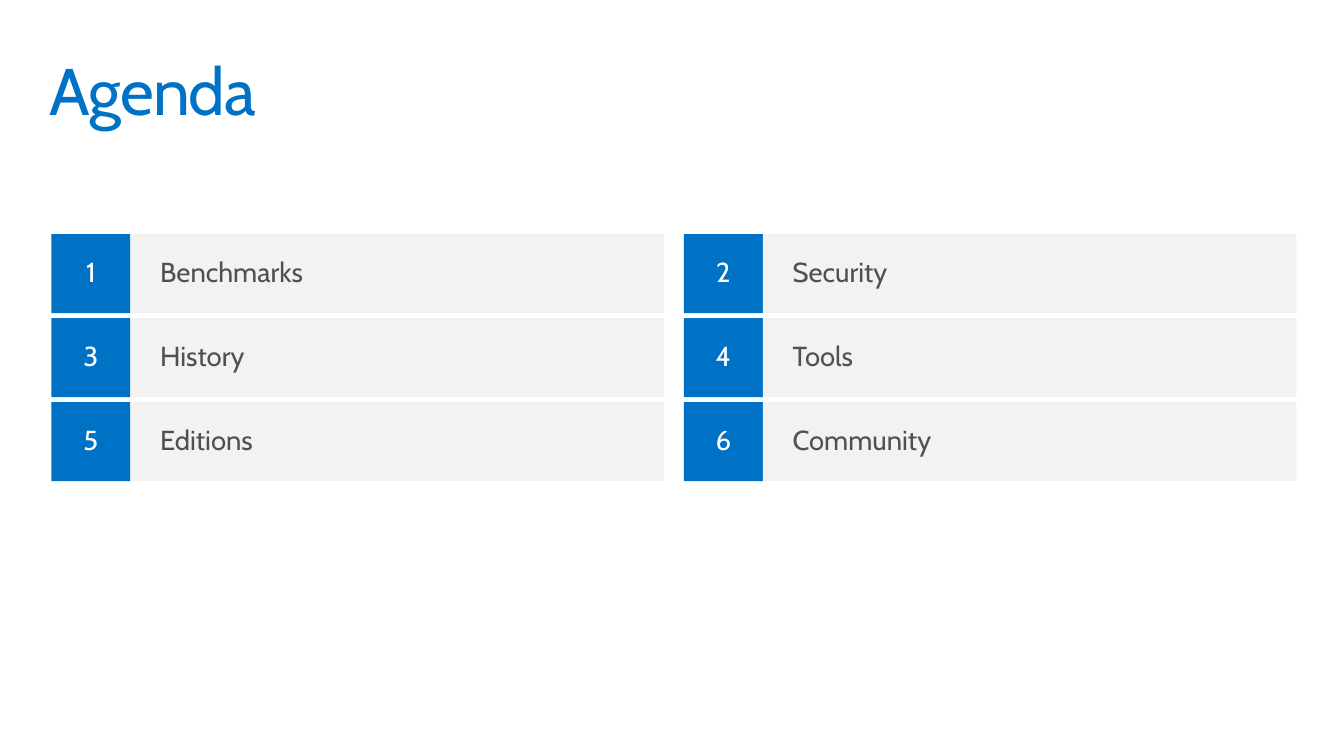
from dataclasses import dataclass

from pptx import Presentation
from pptx import util as u
from pptx.dml.color import RGBColor
from pptx.enum import shapes, text


@dataclass(frozen=True)
class Theme:
    """Colours, font and type sizes of the slide."""
    blue: str = "0072C6"
    pale: str = "F2F2F2"
    grey: str = "505050"
    white: str = "FFFFFF"
    font: str = "Cabin"
    head: int = 48
    item: int = 20


LOOK = Theme()
WIDE, HIGH = 13.6, 7.65
COLS = 2
CELL = 0.8
ROW = 0.85
COL = 6.4
TOPICS = ["Benchmarks", "Security", "History", "Tools", "Editions", "Community"]


def write(shape, words, size, color, align=text.PP_ALIGN.LEFT,
          anchor=text.MSO_ANCHOR.MIDDLE, pad=(0.1, 0.1), lead=None, track=None):
    """Put formatted text into a shape."""
    frame = shape.text_frame
    frame.word_wrap = True
    frame.auto_size = text.MSO_AUTO_SIZE.NONE
    frame.vertical_anchor = anchor
    frame.margin_left = frame.margin_right = u.Inches(pad[0])
    frame.margin_top = frame.margin_bottom = u.Inches(pad[1])
    para = frame.paragraphs[0]
    para.alignment = align
    if lead:
        para.line_spacing = lead
    run = para.add_run()
    run.text = words
    run.font.name = LOOK.font
    run.font.size = u.Pt(size)
    run.font.color.rgb = RGBColor.from_string(color)
    if track:
        run.font._element.set("spc", str(round(track * 100)))


def block(slide, box, fill):
    """Add a plain filled rectangle."""
    shape = slide.shapes.add_shape(shapes.MSO_SHAPE.RECTANGLE, *map(u.Inches, box))
    shape.shadow.inherit = False
    shape.fill.solid()
    shape.fill.fore_color.rgb = RGBColor.from_string(fill)
    shape.line.fill.background()
    return shape


def title(slide, box, words):
    """Place the slide title in its placeholder."""
    head = slide.shapes.title
    head.left, head.top, head.width, head.height = map(u.Inches, box)
    write(head, words, LOOK.head, LOOK.blue, anchor=text.MSO_ANCHOR.TOP, track=-0.7)


def entry(slide, box, num, topic):
    """Draw one numbered agenda item."""
    left, top, width, height = box
    badge = block(slide, (left, top, height, height), LOOK.blue)
    write(badge, str(num), LOOK.item, LOOK.white, align=text.PP_ALIGN.CENTER,
          pad=(0.2, 0.16), lead=0.9)
    bar = block(slide, (left + height, top, width - height, height), LOOK.pale)
    write(bar, topic, LOOK.item, LOOK.grey, pad=(0.3, 0.1), lead=0.9)


def agenda(slide, left, top, topics):
    """Lay out the items row by row on a grid."""
    for i, topic in enumerate(topics):
        row, col = divmod(i, COLS)
        box = (left + col * COL, top + row * ROW, COL - 0.2, CELL)
        entry(slide, box, i + 1, topic)


def main():
    """Build and save the slide."""
    deck = Presentation()
    deck.slide_width, deck.slide_height = u.Inches(WIDE), u.Inches(HIGH)
    slide = deck.slides.add_slide(deck.slide_layouts.get_by_name("Title Only"))
    title(slide, (0.4, 0.4, WIDE - 0.8, 1), "Agenda")
    agenda(slide, 0.52, 2.37, TOPICS)
    deck.save("out.pptx")


if __name__ == "__main__":
    main()
